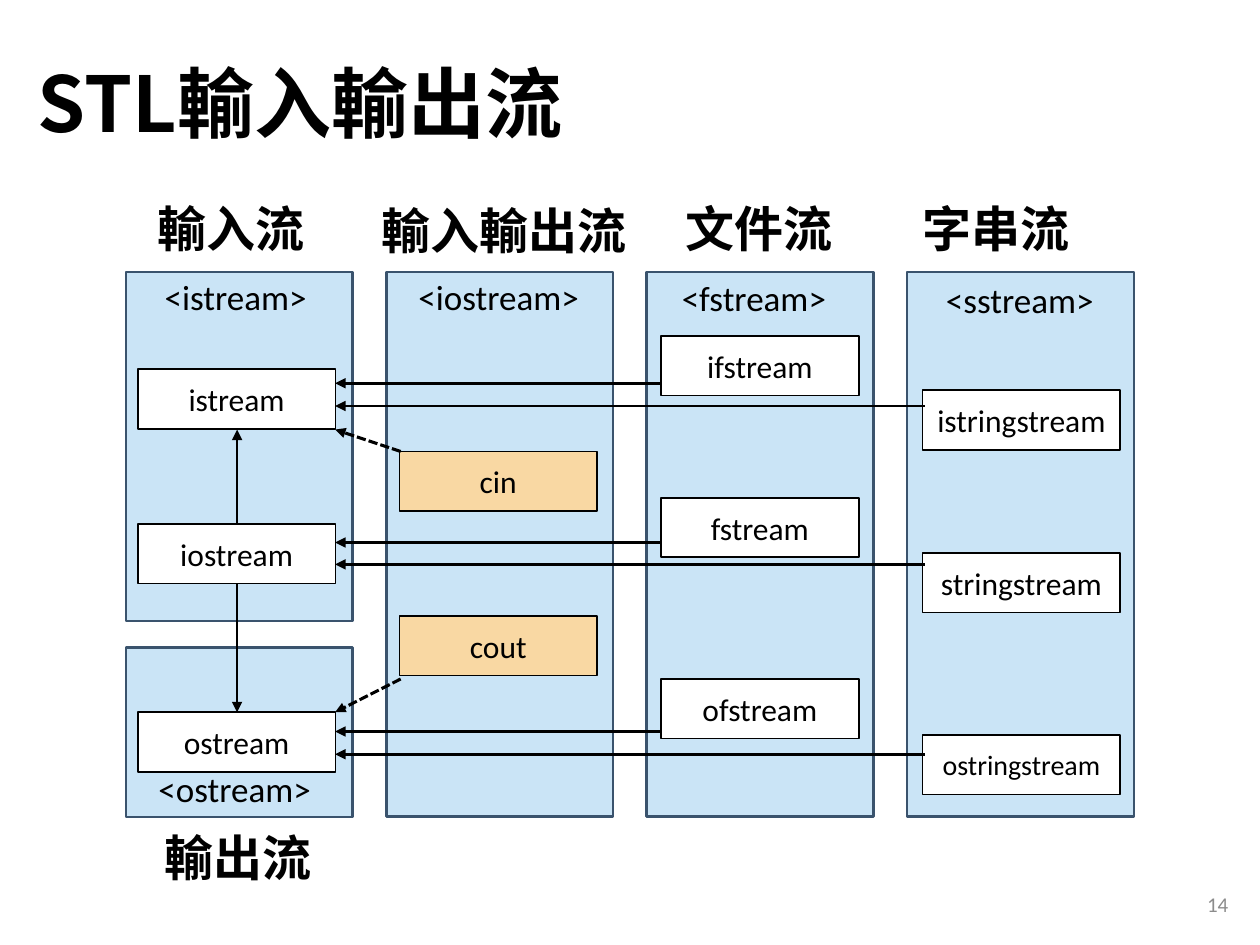
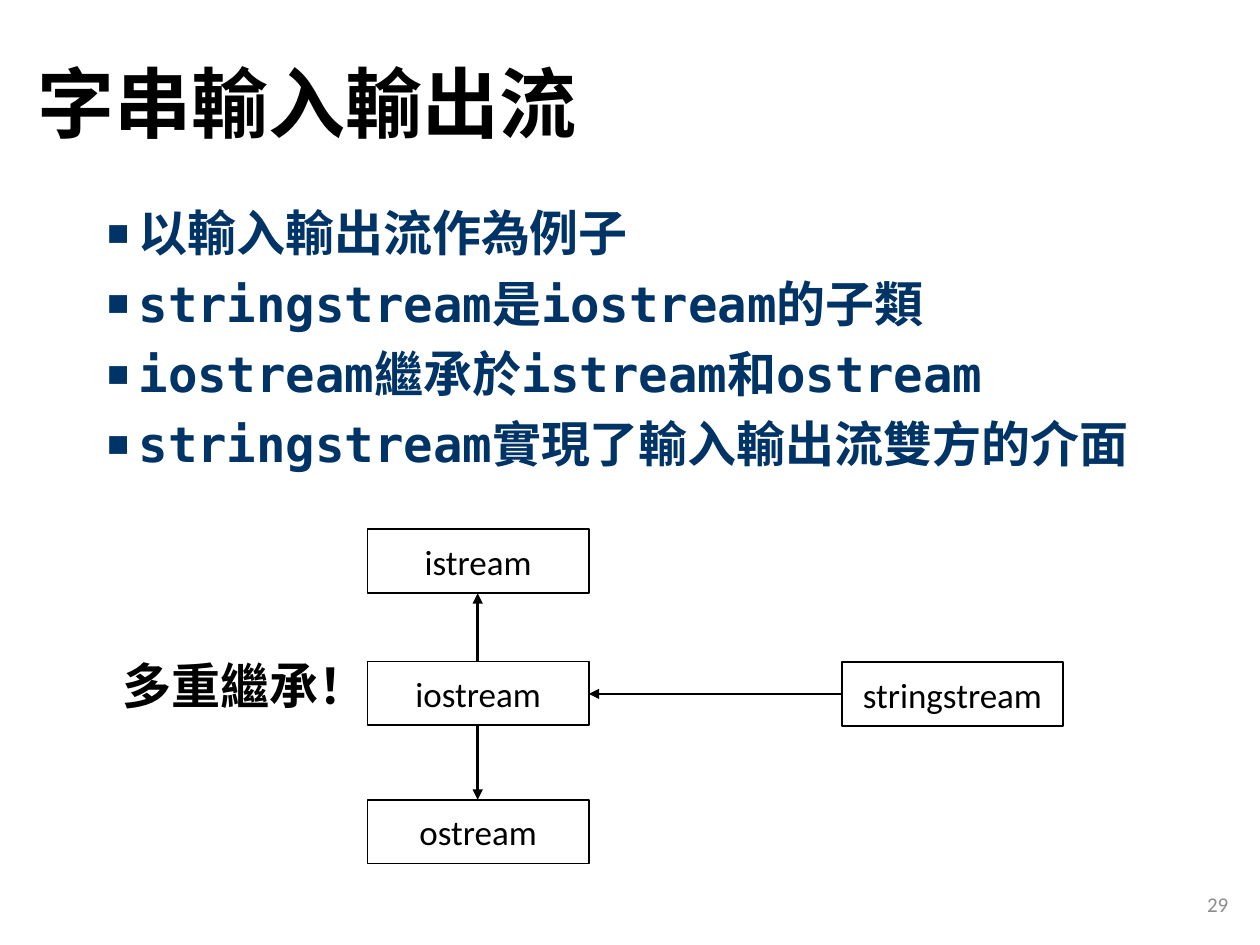
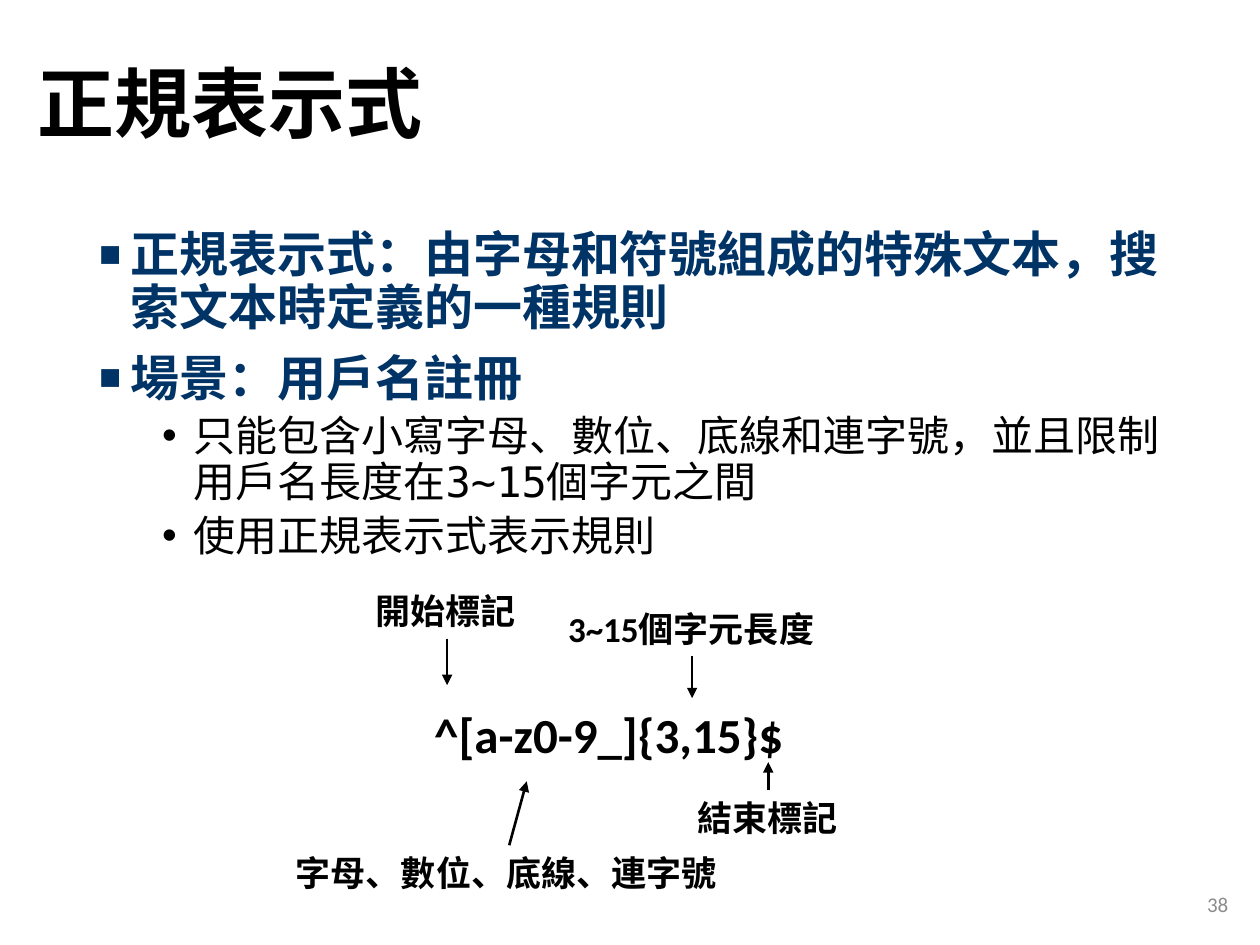
"""Build three slides on stream classes and regular expressions."""
from typing import NamedTuple

from pptx import Presentation
from pptx.dml.color import RGBColor
from pptx.enum.dml import MSO_LINE
from pptx.enum.shapes import MSO_CONNECTOR, MSO_SHAPE
from pptx.enum.text import MSO_ANCHOR as Anchor, MSO_AUTO_SIZE as AutoSize, PP_ALIGN as Align
from pptx.oxml.ns import qn
from pptx.oxml.xmlchemy import OxmlElement as new_element
from pptx.util import Pt

LATIN, HAN, CODE = "Calibri", "Noto Sans CJK SC", "DejaVu Sans Mono"
BLACK, WHITE, NAVY, GREY = "000000", "FFFFFF", "003366", "8C8C8C"
PANEL_FILL, PANEL_LINE, OBJECT_FILL = "CAE4F6", "3A536D", "F9D8A3"
TITLE_ONLY, TITLE_AND_BODY = 5, 1


class Area(NamedTuple):
    left: float
    top: float
    width: float
    height: float


class Box(NamedTuple):
    text: str
    area: Area
    fill: str = WHITE
    outline: str = BLACK
    weight: float = 1
    size: float = 18


class Label(NamedTuple):
    text: str
    area: Area
    size: float
    bold: bool = False
    wrap: bool = False


class Arrow(NamedTuple):
    start: tuple[float, float]
    end: tuple[float, float]
    dashed: bool = False


class Level(NamedTuple):
    bullet: str
    bullet_percent: int
    margin: float
    space_before: float
    size: float
    color: str
    bold: bool


TITLE_AREA = Area(14.5, 9.5, 620.5, 104.5)
NUMBER_AREA = Area(547, 502, 162, 29)
LEVELS = (
    Level("■", 75, 18, 10, 28, NAVY, True),
    Level("•", 100, 54, 5, 24, BLACK, False),
)


def rgb(color: str) -> RGBColor:
    return RGBColor.from_string(color)


def points(values) -> list:
    return [Pt(value) for value in values]


def style(paragraph, size: float, name: str = LATIN, color: str = BLACK, bold: bool = False) -> None:
    font = paragraph.font
    font.size, font.name, font.bold = Pt(size), name, bold
    font.color.rgb = rgb(color)
    east_asian = new_element("a:ea")
    east_asian.set("typeface", HAN)
    paragraph._p.pPr.find(qn("a:defRPr")).find(qn("a:latin")).addnext(east_asian)


def place(shape, area: Area) -> None:
    shape.left, shape.top, shape.width, shape.height = points(area)


def add_slide(presentation, layout: int, title: str, number: int):
    slide = presentation.slides.add_slide(presentation.slide_layouts[layout])
    place(slide.shapes.title, TITLE_AREA)
    frame = slide.shapes.title.text_frame
    frame.text = title
    frame.auto_size, frame.vertical_anchor = AutoSize.NONE, Anchor.MIDDLE
    paragraph = frame.paragraphs[0]
    paragraph.alignment, paragraph.line_spacing = Align.LEFT, 0.9
    style(paragraph, 44, HAN, bold=True)

    frame = slide.shapes.add_textbox(*points(NUMBER_AREA)).text_frame
    frame.text = str(number)
    frame.word_wrap, frame.vertical_anchor = True, Anchor.MIDDLE
    frame.paragraphs[0].alignment = Align.RIGHT
    style(frame.paragraphs[0], 12, color=GREY)
    return slide


def fill_body(slide, area: Area, items: list[tuple[int, str]]) -> None:
    body = slide.placeholders[1]
    place(body, area)
    frame = body.text_frame
    frame.text = "\n".join(text for _, text in items)
    frame.auto_size = AutoSize.NONE
    for index, (paragraph, (depth, _)) in enumerate(zip(frame.paragraphs, items)):
        level = LEVELS[depth]
        paragraph.level, paragraph.line_spacing = depth, 0.9
        paragraph.space_before = Pt(level.space_before if index else 0)
        properties = paragraph._p.get_or_add_pPr()
        properties.set("marL", str(Pt(level.margin)))
        properties.set("indent", str(Pt(-18)))
        for tag, attribute, value in (
            ("a:buSzPct", "val", str(level.bullet_percent * 1000)),
            ("a:buFont", "typeface", "Arial"),
            ("a:buChar", "char", level.bullet),
        ):
            element = new_element(tag)
            element.set(attribute, value)
            properties.append(element)
        style(paragraph, level.size, CODE, level.color, level.bold)


def draw_box(slide, box: Box) -> None:
    shape = slide.shapes.add_shape(MSO_SHAPE.RECTANGLE, *points(box.area))
    shape.shadow.inherit = False
    shape.fill.solid()
    shape.fill.fore_color.rgb = rgb(box.fill)
    shape.line.color.rgb = rgb(box.outline)
    shape.line.width = Pt(box.weight)
    if box.text:
        frame = shape.text_frame
        frame.text = box.text
        frame.vertical_anchor = Anchor.MIDDLE
        frame.paragraphs[0].alignment = Align.CENTER
        style(frame.paragraphs[0], box.size)


def draw_label(slide, label: Label) -> None:
    frame = slide.shapes.add_textbox(*points(label.area)).text_frame
    frame.text = label.text
    frame.word_wrap, frame.auto_size = label.wrap, AutoSize.SHAPE_TO_FIT_TEXT
    style(frame.paragraphs[0], label.size, bold=label.bold)


def draw_arrow(slide, arrow: Arrow) -> None:
    connector = slide.shapes.add_connector(MSO_CONNECTOR.STRAIGHT, *points(arrow.start + arrow.end))
    connector.line.color.rgb = rgb(BLACK)
    connector.line.width = Pt(1.75 if arrow.dashed else 1.5)
    if arrow.dashed:
        connector.line.dash_style = MSO_LINE.SQUARE_DOT
    head = new_element("a:tailEnd")
    head.set("type", "triangle")
    properties = connector.element.spPr
    properties.find(qn("a:ln")).append(head)
    properties.append(new_element("a:effectLst"))


def draw_diagram(slide, boxes=(), arrows=(), labels=()) -> None:
    for draw, items in ((draw_box, boxes), (draw_arrow, arrows), (draw_label, labels)):
        for item in items:
            draw(slide, item)


def build_stream_map(presentation) -> None:
    slide = add_slide(presentation, TITLE_ONLY, "STL輸入輸出流", 14)
    panel_spans = [(0, 155.5, 199.5), (0, 370, 97)] + [(column, 155.5, 311) for column in (1, 2, 3)]
    panels = [
        Box("", Area(72 + 148.8 * column, top, 129.6, height), PANEL_FILL, PANEL_LINE, 1.5)
        for column, top, height in panel_spans
    ]
    class_columns = (
        (("istream", 211), ("iostream", 299.5), ("ostream", 407)),
        (("cin", 258), ("cout", 352)),
        (("ifstream", 192), ("fstream", 284.5), ("ofstream", 388)),
        (("istringstream", 223), ("stringstream", 316), ("ostringstream", 420)),
    )
    classes = [
        Box(
            name,
            Area(78.75 + 149.5 * column, top, 113, 34),
            OBJECT_FILL if column == 1 else WHITE,
            size=16 if name == "ostringstream" else 18,
        )
        for column, entries in enumerate(class_columns)
        for name, top in entries
    ]
    base_edge, object_edge, center = 191.5, 229, 135.5
    arrows = [
        Arrow((start, y), (base_edge, y))
        for start, heights in ((378, (219, 310, 418)), (528.5, (232, 322.5, 431)))
        for y in heights
    ]
    arrows += [
        Arrow((object_edge, 258), (base_edge, 245.5), dashed=True),
        Arrow((object_edge, 388), (base_edge, 407), dashed=True),
        Arrow((center, 299.5), (center, 245.5)),
        Arrow((center, 333.5), (center, 407)),
    ]
    headers = [
        Label(text, Area(left, top, width, 32), 20)
        for text, left, top, width in (
            ("<istream>", 87, 154, 96.5),
            ("<iostream>", 232, 154, 107),
            ("<fstream>", 382.5, 154.5, 98),
            ("<sstream>", 533.5, 155.5, 100),
            ("<ostream>", 83.5, 435, 103),
        )
    ]
    headings = [
        Label(text, Area(left, top, width, 41), 28, bold=True)
        for text, left, top, width in (
            ("輸入流", 83, 110, 99.5),
            ("輸入輸出流", 211, 111, 156),
            ("文件流", 384.5, 110, 99.5),
            ("字串流", 520, 110, 99.5),
            ("輸出流", 87, 469.5, 99.5),
        )
    ]
    draw_diagram(slide, panels + classes, arrows, headers + headings)


def build_string_streams(presentation) -> None:
    slide = add_slide(presentation, TITLE_AND_BODY, "字串輸入輸出流", 29)
    fill_body(slide, Area(54, 116, 633.5, 373.5), [
        (0, "以輸入輸出流作為例子"),
        (0, "stringstream是iostream的子類"),
        (0, "iostream繼承於istream和ostream"),
        (0, "stringstream實現了輸入輸出流雙方的介面"),
    ])
    boxes = [
        Box(name, Area(left, top, 126.5, 36.5), size=20)
        for name, left, top in (
            ("istream", 210, 302.5),
            ("iostream", 210, 378),
            ("ostream", 210, 457),
            ("stringstream", 481, 378.5),
        )
    ]
    arrows = [
        Arrow((481, 396.5), (336.5, 396.5)),
        Arrow((273, 378), (273, 339)),
        Arrow((273, 414.5), (273, 457)),
    ]
    draw_diagram(slide, boxes, arrows, [Label("多重繼承！", Area(63, 371, 156, 41), 28, bold=True)])


def build_regular_expressions(presentation) -> None:
    slide = add_slide(presentation, TITLE_AND_BODY, "正規表示式", 38)
    fill_body(slide, Area(49.5, 128, 633.5, 391), [
        (0, "正規表示式：由字母和符號組成的特殊文本，搜索文本時定義的一種規則"),
        (0, "場景：用戶名註冊"),
        (1, "只能包含小寫字母、數位、底線和連字號，並且限制用戶名長度在3~15個字元之間"),
        (1, "使用正規表示式表示規則"),
    ])
    labels = [
        Label("^[a-z0-9_]{3,15}$", Area(241, 399, 217, 41), 28, bold=True),
        Label("開始標記", Area(207.5, 333.5, 95, 32), 20, bold=True),
        Label("字母、數位、底線、連字號", Area(162, 483, 257, 32), 20, bold=True),
        Label("3~15個字元長度", Area(317.5, 343.5, 156, 32), 20, bold=True, wrap=True),
        Label("結束標記", Area(391.5, 451.5, 95, 32), 20, bold=True),
    ]
    arrows = [
        Arrow((255.5, 365), (255.5, 391.5)),
        Arrow((395.5, 375), (395.5, 399)),
        Arrow((291, 483), (301, 446.5)),
        Arrow((439, 451.5), (439, 435.5)),
    ]
    draw_diagram(slide, arrows=arrows, labels=labels)


def main() -> None:
    presentation = Presentation()
    presentation.slide_width, presentation.slide_height = Pt(720), Pt(540)
    build_stream_map(presentation)
    build_string_streams(presentation)
    build_regular_expressions(presentation)
    presentation.save("out.pptx")


if __name__ == "__main__":
    main()
